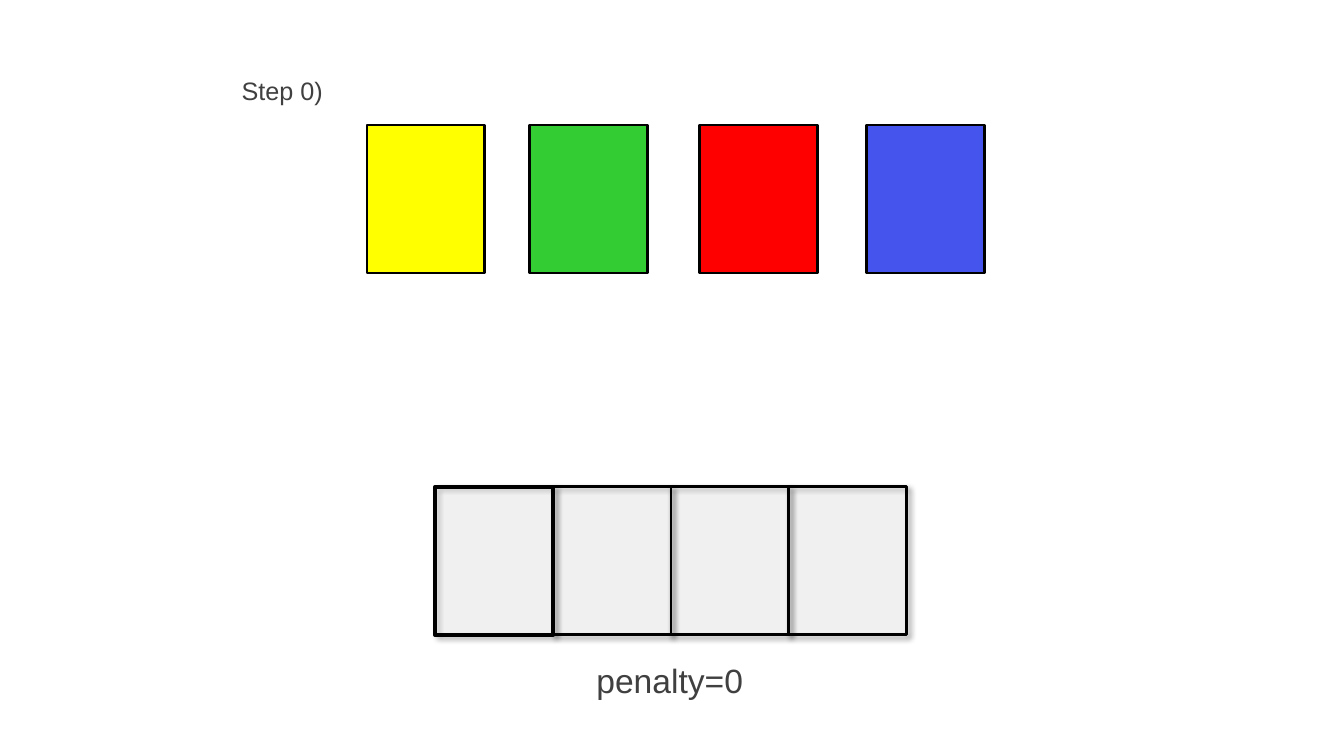
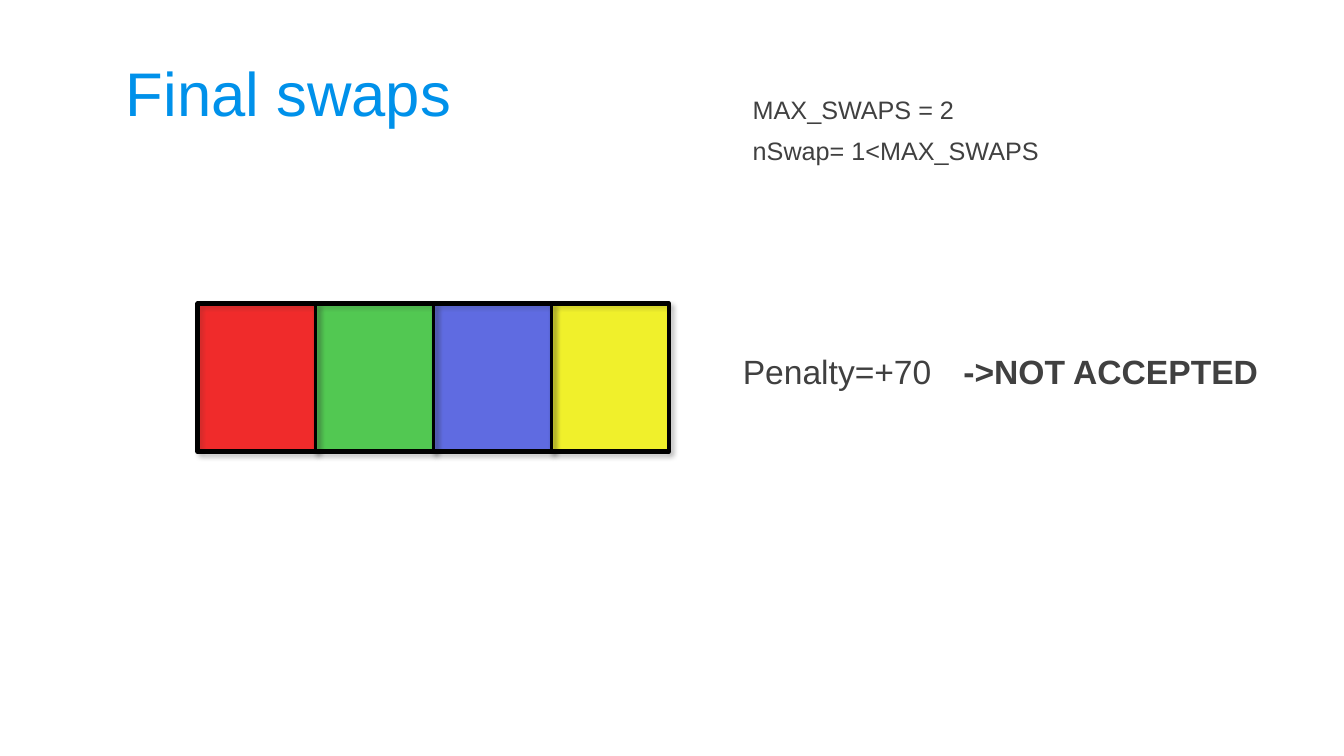
"""Build two slides that show colour cards being placed in a row of slots."""
import dataclasses

import lxml.etree
import pptx
import pptx.dml.color
import pptx.enum.shapes
import pptx.enum.text
import pptx.oxml.ns
import pptx.util

Cm = pptx.util.Cm
Pt = pptx.util.Pt


@dataclasses.dataclass(frozen=True)
class Theme:
    font: str = "Arial"
    title_color: str = "0091EA"
    text_color: str = "404040"
    outline: str = "000000"
    glass: str = "FFFFFF"
    yellow: str = "FFFF00"
    green: str = "33CC33"
    red: str = "FF0000"
    blue: str = "4454EC"
    title_size: int = 44
    result_size: int = 24
    note_size: int = 18
    card_line: int = 2
    frame_line: int = 3
    card_width: float = 2.97
    card_height: float = 3.73


class Builder:
    def __init__(self, deck, theme):
        self.deck = deck
        self.theme = theme
        self.page = None

    def add_page(self, layout_name):
        layout = self.deck.slide_layouts.get_by_name(layout_name)
        self.page = self.deck.slides.add_slide(layout)

    def format_text(self, para, size, color, bold=False):
        para.font.name = self.theme.font
        para.font.size = Pt(size)
        para.font.bold = bold
        para.font.color.rgb = pptx.dml.color.RGBColor.from_string(color)
        para.alignment = pptx.enum.text.PP_ALIGN.LEFT

    def title(self, text):
        box = self.page.shapes.title
        box.left, box.top, box.width, box.height = Cm(2.92), Cm(1.14), Cm(28.04), Cm(2.59)
        box.text_frame.text = text
        box.text_frame.vertical_anchor = pptx.enum.text.MSO_ANCHOR.MIDDLE
        para = box.text_frame.paragraphs[0]
        para.line_spacing = 0.9
        self.format_text(para, self.theme.title_size, self.theme.title_color)

    def label(self, text, left, top, width, size, bold=False):
        height = 1.27 if size == self.theme.result_size else 1.02
        box = self.page.shapes.add_textbox(Cm(left), Cm(top), Cm(width), Cm(height))
        box.text_frame.word_wrap = False
        box.text_frame.text = text
        self.format_text(box.text_frame.paragraphs[0], size, self.theme.text_color, bold)

    def card(self, left, top, fill=None, line=None, columns=1):
        box = self.page.shapes.add_shape(
            pptx.enum.shapes.MSO_SHAPE.RECTANGLE,
            Cm(left), Cm(top), Cm(self.theme.card_width * columns), Cm(self.theme.card_height))
        if fill:
            box.fill.solid()
            box.fill.fore_color.rgb = pptx.dml.color.RGBColor.from_string(fill)
        else:
            box.fill.background()
        box.line.color.rgb = pptx.dml.color.RGBColor.from_string(self.theme.outline)
        box.line.width = Pt(line or self.theme.card_line)
        box.shadow.inherit = False
        return box

    def frame(self, left, top, columns):
        self.card(left, top, line=self.theme.frame_line, columns=columns)

    def slots(self, left, top, count=4):
        qn = pptx.oxml.ns.qn
        for index in range(count):
            box = self.card(left + index * self.theme.card_width, top, self.theme.glass)
            properties = box._element.spPr
            glass = properties.find(qn("a:solidFill"))[0]
            lxml.etree.SubElement(glass, qn("a:alpha"), val="17000")
            shadow = lxml.etree.SubElement(
                properties.find(qn("a:effectLst")), qn("a:outerShdw"),
                blurRad=str(Pt(4)), dist=str(Pt(3)), dir="2700000",
                algn="tl", rotWithShape="0")
            color = lxml.etree.SubElement(shadow, qn("a:srgbClr"), val=self.theme.outline)
            lxml.etree.SubElement(color, qn("a:alpha"), val="40000")


def build_first_step(builder):
    theme = builder.theme
    builder.add_page("Blank")
    cards = ((9.25, theme.yellow), (13.34, theme.green), (17.63, theme.red), (21.84, theme.blue))
    for left, color in cards:
        builder.card(left, 3.15, color)
    row_left, row_top = 10.97, 12.27
    builder.slots(row_left, row_top)
    builder.label("penalty=0", 14.78, 16.51, 4.24, theme.result_size)
    builder.label("Step 0)", 5.84, 1.78, 2.59, theme.note_size)
    builder.frame(row_left, row_top, columns=1)


def build_final_swaps(builder):
    theme = builder.theme
    builder.add_page("Title Only")
    builder.title("Final swaps")
    row_left, row_top = 4.98, 7.65
    for index, color in enumerate((theme.red, theme.green, theme.blue, theme.yellow)):
        builder.card(row_left + index * theme.card_width, row_top, color)
    builder.slots(row_left, row_top)
    builder.frame(row_left, row_top, columns=4)
    builder.label("Penalty=+70", 18.47, 8.71, 5.31, theme.result_size)
    builder.label("->NOT ACCEPTED", 24.03, 8.71, 8.0, theme.result_size, bold=True)
    builder.label("MAX_SWAPS = 2", 18.72, 2.26, 5.66, theme.note_size)
    builder.label("nSwap= 1<MAX_SWAPS", 18.72, 3.28, 7.82, theme.note_size)


deck = pptx.Presentation()
deck.slide_width, deck.slide_height = Cm(33.87), Cm(19.05)
builder = Builder(deck, Theme())
build_first_step(builder)
build_final_swaps(builder)
deck.save("out.pptx")
